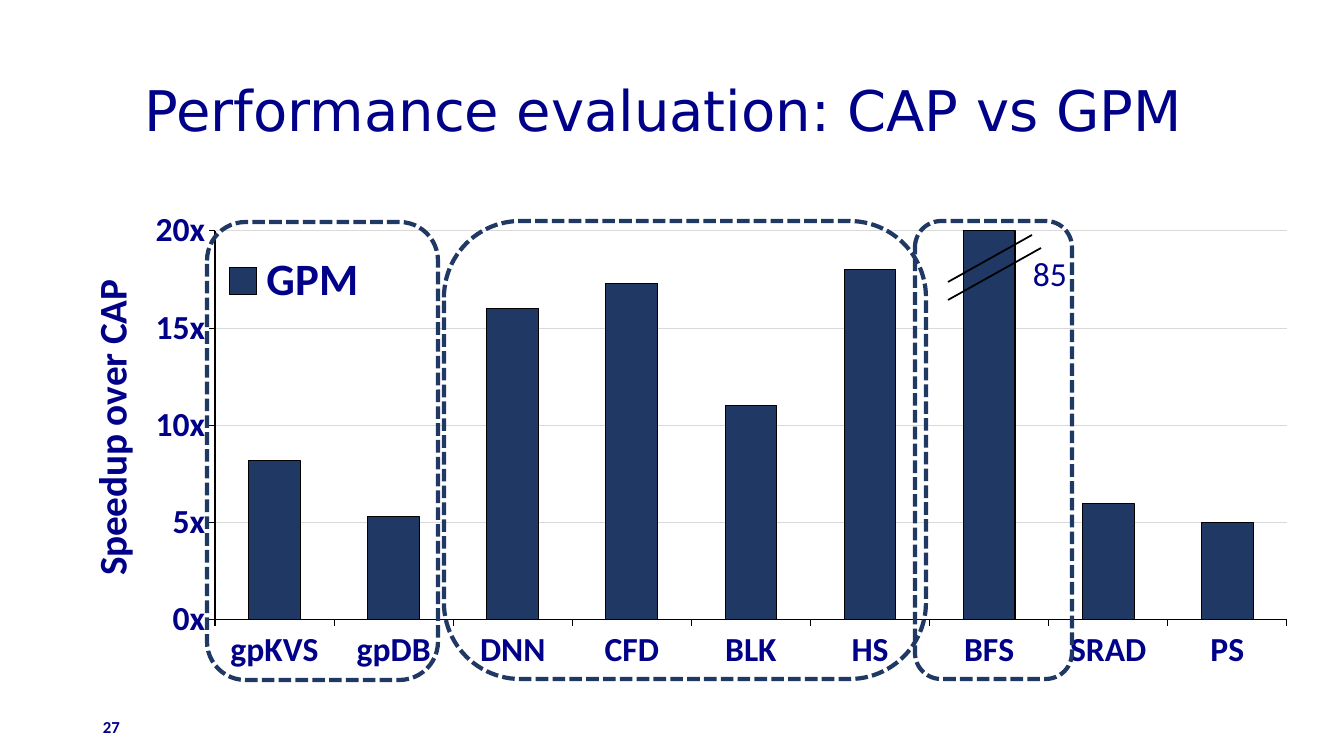
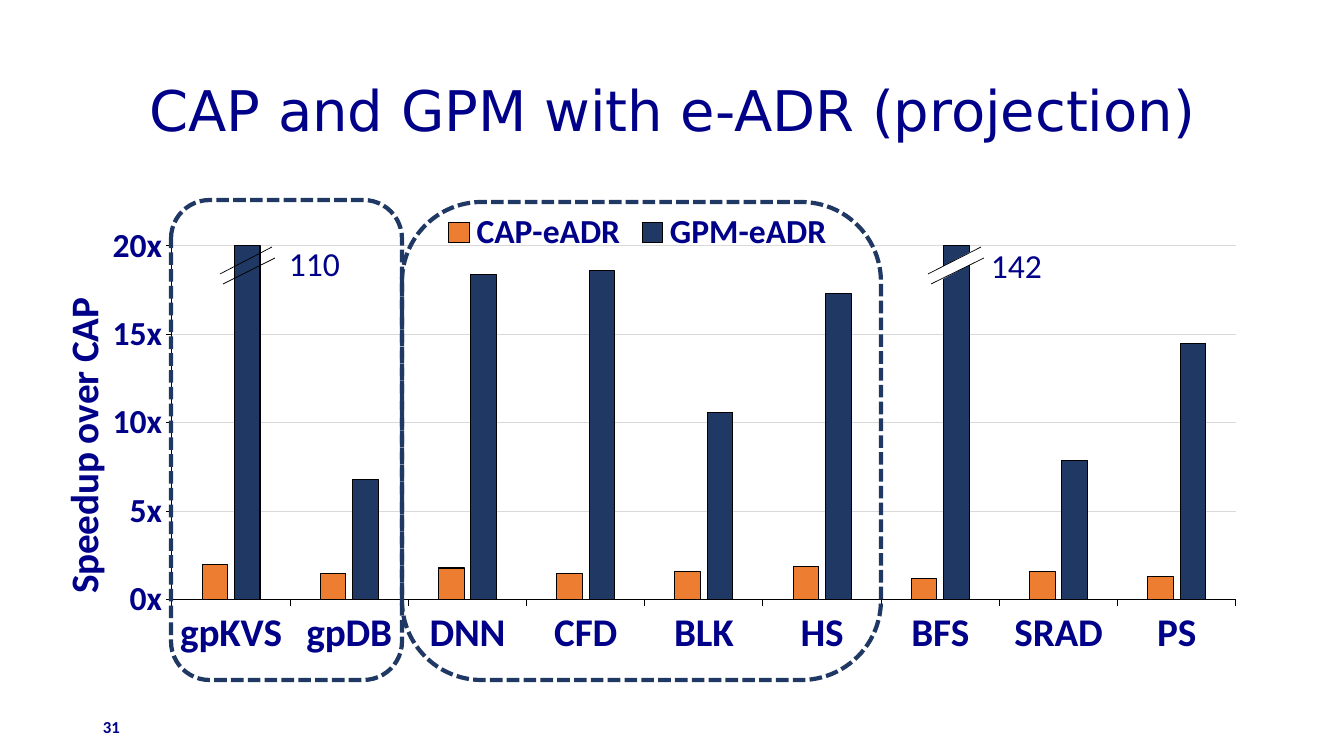
"""Build two slides that compare the speedup of CAP and GPM in column charts."""
from dataclasses import dataclass
from typing import NamedTuple

from lxml.etree import SubElement
from pptx import Presentation
from pptx.chart.data import CategoryChartData
from pptx.dml.color import RGBColor
from pptx.enum.chart import XL_CHART_TYPE, XL_LEGEND_POSITION, XL_TICK_MARK
from pptx.enum.dml import MSO_LINE
from pptx.enum.shapes import MSO_CONNECTOR, MSO_SHAPE
from pptx.enum.text import MSO_ANCHOR, MSO_AUTO_SIZE, PP_ALIGN
from pptx.oxml import parse_xml
from pptx.oxml.ns import nsdecls, qn
from pptx.util import Emu, Pt

SLIDE_WIDTH, SLIDE_HEIGHT = 1344, 756
EMU_PER_PX = 12192000 / SLIDE_WIDTH

INK = RGBColor(0x00, 0x00, 0x88)
NAVY = RGBColor(0x20, 0x38, 0x64)
ORANGE = RGBColor(0xED, 0x7D, 0x31)
GRID = RGBColor(0xD9, 0xD9, 0xD9)
BLACK = RGBColor(0x00, 0x00, 0x00)
WHITE = RGBColor(0xFF, 0xFF, 0xFF)

TITLE_FONT = {"name": "DejaVu Sans", "size": Pt(40), "bold": False}
PAGE_FONT = {"name": "Calibri", "size": Pt(12), "bold": True}
VALUE_FONT = {"name": "Calibri", "size": Pt(24), "bold": False}
CHART_FONT = {"name": "Calibri", "bold": True}
VALUE_SCALE = {"minimum_scale": 0, "maximum_scale": 20, "major_unit": 5,
               "has_title": True, "has_major_gridlines": True}

WORKLOADS = ("gpKVS", "gpDB", "DNN", "CFD", "BLK", "HS", "BFS", "SRAD", "PS")


class Box(NamedTuple):
    """A rectangle on the slide in px."""
    left: int
    top: int
    width: int
    height: int


class Point(NamedTuple):
    """A place on the slide in px."""
    x: int
    y: int


TITLE_BOX = Box(93, 40, 1159, 146)
PAGE_BOX = Box(93, 707, 302, 40)


@dataclass(frozen=True)
class Series:
    """One set of columns."""
    name: str
    values: tuple[float, ...]
    color: RGBColor


@dataclass(frozen=True)
class AxisBreak:
    """Two strokes across a cut column, with its true value beside it."""
    strokes: tuple[tuple[Point, Point], ...]
    weight: float
    value: str
    value_box: Box
    gap: Box | None = None


@dataclass(frozen=True)
class SpeedupSlide:
    """Everything that differs from slide to slide."""
    title: str
    page: str
    frame: Box
    plot: Box
    legend: Point
    axis_title: Point
    legend_size: int
    category_size: int
    gap_width: int
    overlap: int
    series: tuple[Series, ...]
    breaks: tuple[AxisBreak, ...]
    outlines: tuple[Box, ...]


SLIDES = (
    SpeedupSlide(
        title="Performance evaluation: CAP vs GPM ", page="27",
        frame=Box(55, 202, 1257, 480), plot=Box(215, 231, 1072, 389),
        legend=Point(215, 244), axis_title=Point(78, 273),
        legend_size=32, category_size=24, gap_width=130, overlap=-11,
        series=(Series("GPM", (8.2, 5.3, 16, 17.3, 11, 18, 84.7, 6, 5), NAVY),),
        breaks=(AxisBreak(((Point(948, 282), Point(1032, 235)),
                           (Point(948, 300), Point(1041, 248))),
                          1.25, "85", Box(1023, 248, 54, 50)),),
        outlines=(Box(207, 222, 231, 458), Box(915, 221, 157, 458),
                  Box(444, 221, 482, 458)),
    ),
    SpeedupSlide(
        title="CAP and GPM with e-ADR (projection)", page="31",
        frame=Box(37, 202, 1215, 480), plot=Box(172, 246, 1064, 354),
        legend=Point(438, 205), axis_title=Point(50, 291),
        legend_size=24, category_size=28, gap_width=236, overlap=-27,
        series=(
            Series("CAP-eADR", (2, 1.5, 1.8, 1.5, 1.6, 1.9, 1.2, 1.6, 1.3), ORANGE),
            Series("GPM-eADR",
                   (110.6, 6.8, 18.4, 18.6, 10.6, 17.3, 142.8, 7.9, 14.5), NAVY),
        ),
        breaks=(
            AxisBreak(((Point(220, 274), Point(272, 247)),
                       (Point(223, 284), Point(275, 258))),
                      0.5, "110", Box(279, 238, 72, 50)),
            AxisBreak(((Point(928, 274), Point(981, 247)),
                       (Point(931, 284), Point(984, 258))),
                      0.5, "142", Box(981, 240, 72, 50), Box(928, 260, 57, 11)),
        ),
        outlines=(Box(171, 200, 231, 480), Box(402, 202, 479, 478)),
    ),
)


def px(length: int) -> Emu:
    """Turn px into EMU."""
    return Emu(round(length * EMU_PER_PX))


def place(lengths: tuple[int, ...]) -> list[Emu]:
    """Turn a box or point into EMU."""
    return [px(length) for length in lengths]


def assign(target, values: dict) -> None:
    """Set each named attribute of the target."""
    for attribute, value in values.items():
        setattr(target, attribute, value)


def style_font(font, values: dict) -> None:
    """Give a font its format and the shared text colour."""
    assign(font, values)
    font.color.rgb = INK


def style_line(line, color: RGBColor, weight: float) -> None:
    """Give a line its colour and width in points."""
    line.color.rgb = color
    line.width = Pt(weight)


def add_text(slide, box: Box, text: str, font: dict, frame_format: dict) -> None:
    """Add a text box with one formatted run."""
    frame = slide.shapes.add_textbox(*place(box)).text_frame
    assign(frame, frame_format)
    run = frame.paragraphs[0].add_run()
    run.text = text
    style_font(run.font, font)


def set_title(slide, text: str) -> None:
    """Fill and format the title placeholder."""
    frame = slide.shapes.title.text_frame
    frame.text = text
    assign(frame, {"vertical_anchor": MSO_ANCHOR.MIDDLE, "word_wrap": True,
                   "auto_size": MSO_AUTO_SIZE.NONE})
    paragraph = frame.paragraphs[0]
    assign(paragraph, {"alignment": PP_ALIGN.CENTER, "line_spacing": 0.9})
    style_font(paragraph.runs[0].font, TITLE_FONT)


def fix_layout(parent, index: int, frame: Box, area: Box | Point) -> None:
    """Pin a chart part to its place within the chart frame."""
    for automatic in parent.findall(qn("c:layout")):
        parent.remove(automatic)
    layout = parse_xml(f"<c:layout {nsdecls('c')}><c:manualLayout/></c:layout>")
    manual = layout[0]
    settings = {"xMode": "edge", "yMode": "edge",
                "x": round((area[0] - frame.left) / frame.width, 4),
                "y": round((area[1] - frame.top) / frame.height, 4)}
    if isinstance(area, Box):
        settings = {"layoutTarget": "inner", **settings,
                    "w": round(area.width / frame.width, 4),
                    "h": round(area.height / frame.height, 4)}
    for tag, value in settings.items():
        SubElement(manual, qn(f"c:{tag}")).set("val", str(value))
    parent.insert(index, layout)


def style_axes(chart, content: SpeedupSlide) -> None:
    """Format both axes and the value axis title."""
    categories, speedup = chart.category_axis, chart.value_axis
    for axis, size in ((categories, content.category_size), (speedup, 24)):
        assign(axis, {"major_tick_mark": XL_TICK_MARK.OUTSIDE,
                      "minor_tick_mark": XL_TICK_MARK.NONE})
        style_line(axis.format.line, BLACK, 0.75)
        style_font(axis.tick_labels.font, {**CHART_FONT, "size": Pt(size)})
    assign(speedup, VALUE_SCALE)
    assign(speedup.tick_labels, {"number_format": r"#,##0\x;\-#,##0\x",
                                 "number_format_is_linked": False})
    style_line(speedup.major_gridlines.format.line, GRID, 0.75)
    title = speedup.axis_title
    frame = title.text_frame
    frame.text = "Speedup over CAP"
    style_font(frame.paragraphs[0].runs[0].font, {**CHART_FONT, "size": Pt(28)})
    body = title._element.find(f".//{qn('a:bodyPr')}")
    for attribute, value in {"rot": "-5400000", "vert": "horz"}.items():
        body.set(attribute, value)
    fix_layout(title._element, 1, content.frame, content.axis_title)


def add_speedup_chart(slide, content: SpeedupSlide) -> None:
    """Add the column chart."""
    data = CategoryChartData()
    data.categories = WORKLOADS
    for series in content.series:
        data.add_series(series.name, series.values)
    chart = slide.shapes.add_chart(
        XL_CHART_TYPE.COLUMN_CLUSTERED, *place(content.frame), data).chart
    assign(chart, {"has_title": False, "has_legend": True})
    assign(chart.font, {"name": "Calibri", "size": Pt(10)})
    columns = chart.plots[0]
    assign(columns, {"gap_width": content.gap_width, "overlap": content.overlap,
                     "vary_by_categories": False})
    for drawn, series in zip(columns.series, content.series):
        drawn.invert_if_negative = False
        drawn.format.fill.solid()
        drawn.format.fill.fore_color.rgb = series.color
        style_line(drawn.format.line, BLACK, 0.75)
    style_axes(chart, content)
    legend = chart.legend
    assign(legend, {"position": XL_LEGEND_POSITION.TOP, "include_in_layout": True})
    style_font(legend.font, {**CHART_FONT, "size": Pt(content.legend_size)})
    fix_layout(legend._element, 1, content.frame, content.legend)
    fix_layout(chart._chartSpace.chart.plotArea, 0, content.frame, content.plot)


def add_axis_break(slide, cut: AxisBreak) -> None:
    """Draw the strokes across a cut column and write its value."""
    mark = slide.shapes.add_group_shape()
    if cut.gap:
        gap = mark.shapes.add_shape(MSO_SHAPE.FLOWCHART_DATA, *place(cut.gap))
        gap.shadow.inherit = False
        gap.rotation = 332
        gap.fill.solid()
        gap.fill.fore_color.rgb = WHITE
        gap.line.fill.background()
    for start, end in cut.strokes:
        stroke = mark.shapes.add_connector(
            MSO_CONNECTOR.STRAIGHT, *place(start), *place(end))
        style_line(stroke.line, BLACK, cut.weight)
        SubElement(stroke._element.spPr, qn("a:effectLst"))
    add_text(slide, cut.value_box, cut.value, VALUE_FONT,
             {"word_wrap": False, "auto_size": MSO_AUTO_SIZE.SHAPE_TO_FIT_TEXT})


def add_outline(slide, box: Box) -> None:
    """Ring a group of workloads with a dashed rounded rectangle."""
    outline = slide.shapes.add_shape(MSO_SHAPE.ROUNDED_RECTANGLE, *place(box))
    outline.shadow.inherit = False
    outline.fill.background()
    style_line(outline.line, NAVY, 3)
    outline.line.dash_style = MSO_LINE.SQUARE_DOT


def build_slide(deck, layout, content: SpeedupSlide) -> None:
    """Add one slide with its chart and marks."""
    slide = deck.slides.add_slide(layout)
    set_title(slide, content.title)
    add_speedup_chart(slide, content)
    add_text(slide, PAGE_BOX, content.page, PAGE_FONT,
             {"word_wrap": True, "vertical_anchor": MSO_ANCHOR.MIDDLE})
    for cut in content.breaks:
        add_axis_break(slide, cut)
    for box in content.outlines:
        add_outline(slide, box)


def main() -> None:
    """Build and save the deck."""
    deck = Presentation()
    assign(deck, {"slide_width": px(SLIDE_WIDTH), "slide_height": px(SLIDE_HEIGHT)})
    layout = deck.slide_layouts.get_by_name("Title Only")
    assign(layout.placeholders[0], dict(zip(Box._fields, place(TITLE_BOX))))
    for content in SLIDES:
        build_slide(deck, layout, content)
    deck.save("out.pptx")


if __name__ == "__main__":
    main()
